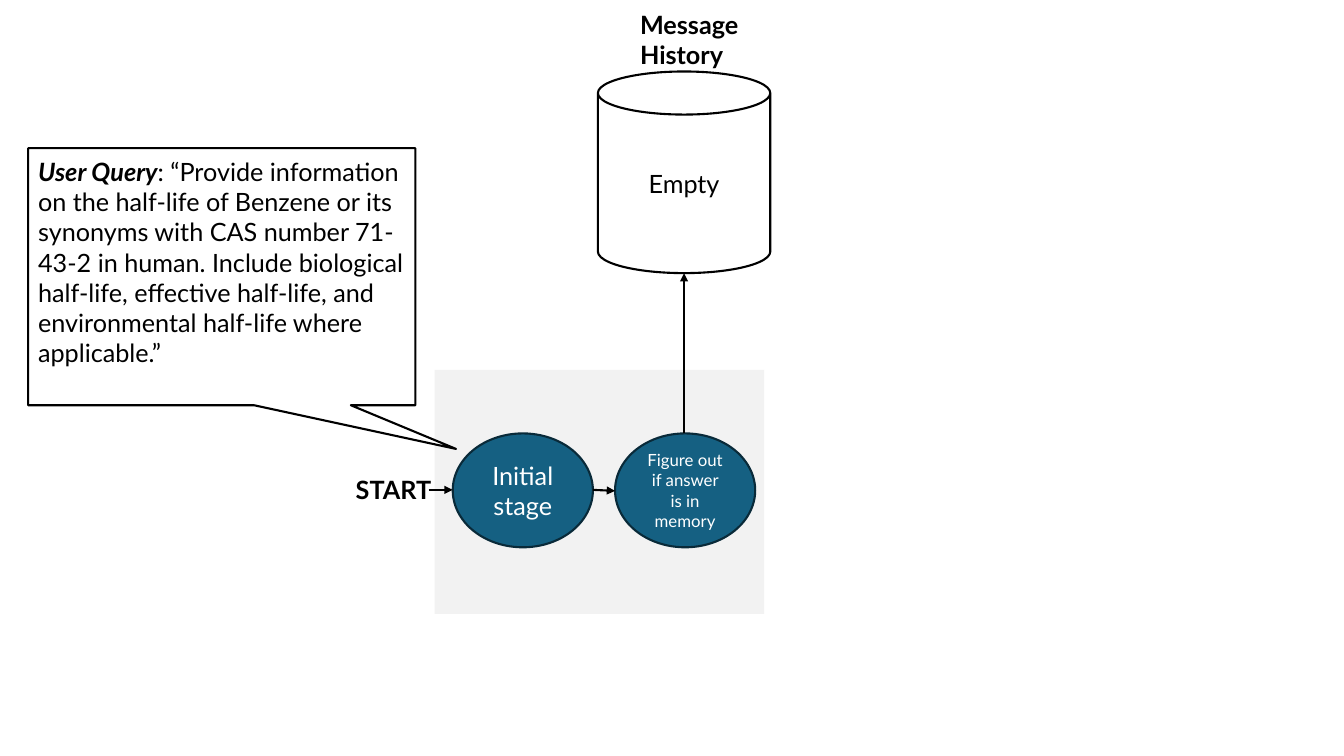
from lxml import etree
from pptx import Presentation
from pptx import util as u
from pptx.dml.color import RGBColor
from pptx.enum import shapes, text
from pptx.oxml.ns import qn

PX = 9144  # EMU per px, 100 px to the inch
FONT = "Lato"
BLACK, WHITE, PANEL = "000000", "FFFFFF", "F2F2F2"
BLUE, NAVY = "156082", "092A39"
LEFT, CENTER = text.PP_ALIGN.LEFT, text.PP_ALIGN.CENTER
TOP, MIDDLE = text.MSO_ANCHOR.TOP, text.MSO_ANCHOR.MIDDLE


def px(*lengths):
    return [u.Emu(round(length * PX)) for length in lengths]


def rgb(value):
    return RGBColor.from_string(value)


def write(frame, lines, color=BLACK, size=18, bold=None, align=LEFT, anchor=TOP):
    """Fill a frame with one paragraph per line."""
    frame.word_wrap = True
    frame.vertical_anchor = anchor
    for number, line in enumerate(lines):
        paragraph = frame.add_paragraph() if number else frame.paragraphs[0]
        paragraph.alignment = align
        paragraph.add_run().text = line
        font = paragraph.font
        font.name, font.size, font.bold = FONT, u.Pt(size), bold
        font.color.rgb = rgb(color)


def add_block(slide, preset, box, fill, line=None):
    block = slide.shapes.add_shape(preset, *px(*box))
    block.shadow.inherit = False
    block.fill.solid()
    block.fill.fore_color.rgb = rgb(fill)
    if line:
        block.line.color.rgb = rgb(line)
        block.line.width = u.Pt(1.5)
    else:
        block.line.fill.background()
    return block


def add_label(slide, box, words):
    label = slide.shapes.add_textbox(*px(*box))
    write(label.text_frame, [words], bold=True)


def add_arrow(slide, start, end):
    arrow = slide.shapes.add_connector(
        shapes.MSO_CONNECTOR.STRAIGHT, *px(*start, *end))
    arrow.line.color.rgb = rgb(BLACK)
    arrow.line.width = u.Pt(1.5)
    etree.SubElement(arrow.line._get_or_add_ln(), qn("a:tailEnd"), type="triangle")
    etree.SubElement(arrow._element.spPr, qn("a:effectLst"))


def add_stages(slide, left, top, width, height):
    """Draw the grey panel with its two stages and the way into them."""
    add_block(slide, shapes.MSO_SHAPE.RECTANGLE, (left, top, width, height), PANEL)
    stage_width, stage_height, pitch = 139, 113, 161
    stage_left, stage_top = left + 18, top + 63
    middle = stage_top + stage_height // 2
    stages = [(["Initial", "stage"], 18),
              (["Figure out if answer is in memory"], 12)]
    for number, (lines, size) in enumerate(stages):
        box = (stage_left + number * pitch, stage_top, stage_width, stage_height)
        stage = add_block(slide, shapes.MSO_SHAPE.OVAL, box, BLUE, NAVY)
        write(stage.text_frame, lines, WHITE, size, align=CENTER, anchor=MIDDLE)
    add_label(slide, (left - 88, middle - 20, 97, 40), "START")
    add_arrow(slide, (stage_left - 24, middle), (stage_left, middle))
    add_arrow(slide, (stage_left + stage_width, middle),
              (stage_left + pitch, middle + 1))


def add_query(slide, left, top, width, height):
    callout = add_block(slide, shapes.MSO_SHAPE.RECTANGULAR_CALLOUT,
                        (left, top, width, height), WHITE, BLACK)
    callout.adjustments[0] = 0.605
    callout.adjustments[1] = 0.67
    frame = callout.text_frame
    frame.margin_top = px(8)[0]
    write(frame, ["User Query"])
    paragraph = frame.paragraphs[0]
    heading = paragraph.runs[0].font
    heading.bold = heading.italic = True
    paragraph.add_run().text = (
        ": “Provide information on the half-life of Benzene or its synonyms "
        "with CAS number 71-43-2 in human. Include biological half-life, "
        "effective half-life, and environmental half-life where applicable.”")


def add_history(slide, left, top, width, height, source_y):
    """Draw the message store, its title and the arrow rising from source_y."""
    store = add_block(slide, shapes.MSO_SHAPE.CAN,
                      (left, top, width, height), WHITE, BLACK)
    write(store.text_frame, ["Empty"], align=CENTER, anchor=MIDDLE)
    center = left + width / 2
    add_arrow(slide, (center, source_y), (center, top + height))
    add_label(slide, (left + 32, top - 67, 123, 71), "Message History")


def main():
    deck = Presentation()
    deck.slide_width, deck.slide_height = px(1333, 750)
    slide = deck.slides.add_slide(deck.slide_layouts[6])
    add_stages(slide, 431, 367, 327, 242)
    add_query(slide, 28, 147, 384, 255)
    add_history(slide, 593, 71, 171, 200, source_y=430)
    deck.save("out.pptx")


if __name__ == "__main__":
    main()
